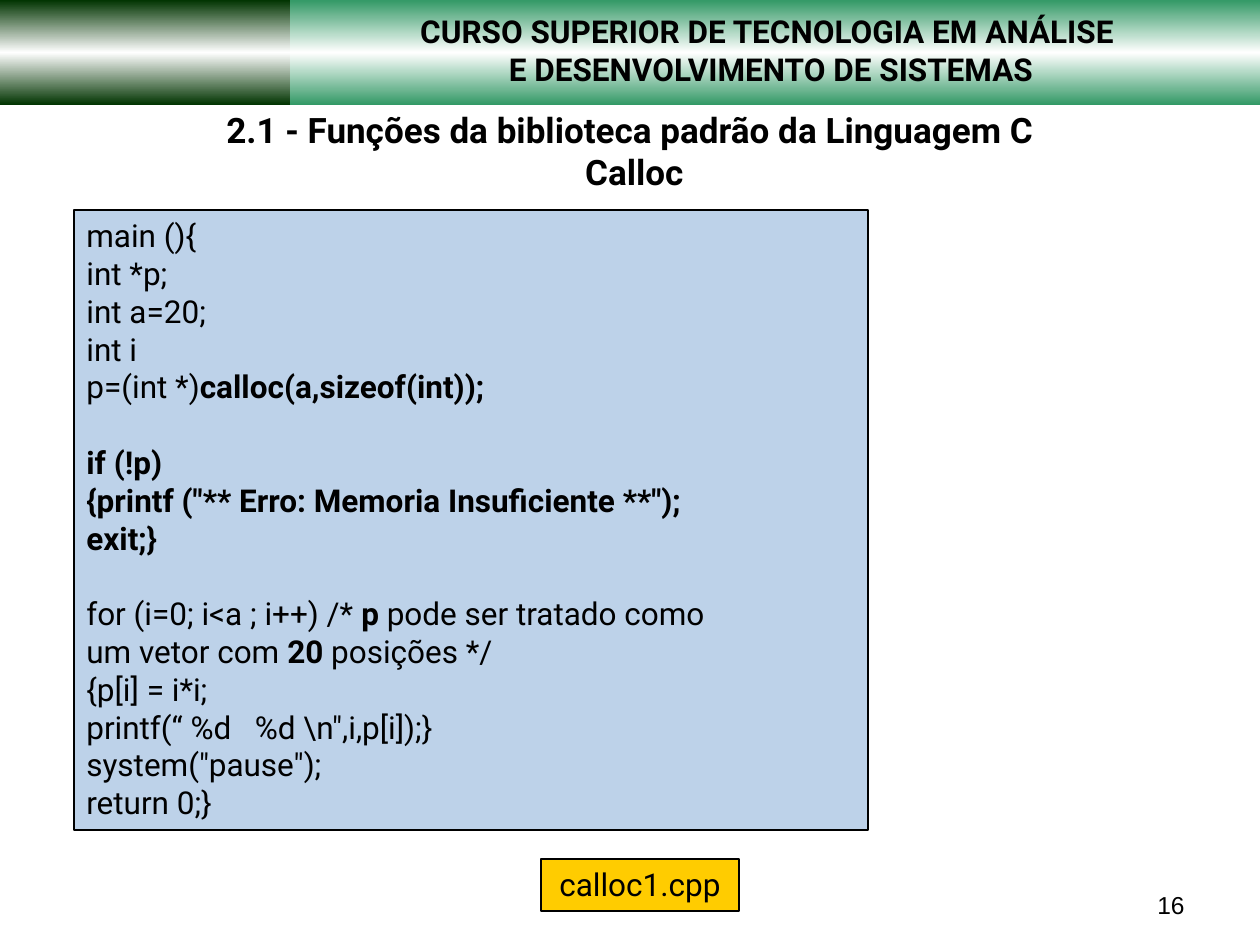
from copy import deepcopy
from dataclasses import dataclass

from pptx import Presentation, util as u
from pptx.dml.color import RGBColor
from pptx.enum import shapes, text
from pptx.oxml.ns import qn


@dataclass(frozen=True)
class Theme:
    font: str = "Roboto"
    number_font: str = "Arial"
    ink: str = "000000"
    white: str = "FFFFFF"
    green: str = "339966"
    dark_green: str = "003300"
    code_fill: str = "BDD2E9"
    file_fill: str = "FFCC00"
    title: int = 20
    body: int = 18
    number: int = 14
    blank_line: float = 21.6


T = Theme()
LEFT, CENTER, RIGHT = text.PP_ALIGN.LEFT, text.PP_ALIGN.CENTER, text.PP_ALIGN.RIGHT

# Each block is a list of lines; each line is a list of (wording, bold) runs.
CODE_BLOCKS = [
    [
        [("main (){", False)],
        [("int *p;", False)],
        [("int a=20;", False)],
        [("int i", False)],
        [("p=(int *)", False), ("calloc(a,sizeof(int));", True)],
    ],
    [
        [("if (!p)", True)],
        [('{printf ("** Erro: Memoria Insuficiente **");', True)],
        [("exit;}", True)],
    ],
    [
        [("for (i=0; i<a ; i++) /* ", False), ("p", True), (" pode ser tratado como", False)],
        [("um vetor com ", False), ("20", True), (" posições */", False)],
        [("{p[i] = i*i;", False)],
        [('printf(“ %d   %d \\n",i,p[i]);}', False)],
        [('system("pause");', False)],
        [("return 0;}", False)],
    ],
]


def px(n):
    return u.Emu(round(n * 914400 / 126))


def add_rect(s, box):
    sp = s.shapes.add_shape(shapes.MSO_SHAPE.RECTANGLE, *map(px, box))
    sp.shadow.inherit = False
    sp.line.fill.background()
    return sp


def add_band(s, box, color):
    """Rectangle shaded vertically from color through white and back."""
    sp = add_rect(s, box)
    sp.fill.gradient()
    sp.fill.gradient_angle = 90
    stop_list = sp._element.spPr.find(qn("a:gradFill")).find(qn("a:gsLst"))
    stop_list.append(deepcopy(stop_list[-1]))
    stops = zip(sp.fill.gradient_stops, (0, 0.5, 1), (color, T.white, color))
    for stop, position, rgb in stops:
        stop.position = position
        stop.color.rgb = RGBColor.from_string(rgb)


def add_panel(s, box, color):
    sp = add_rect(s, box)
    sp.fill.solid()
    sp.fill.fore_color.rgb = RGBColor.from_string(color)
    sp.line.color.rgb = RGBColor.from_string(T.ink)
    sp.line.width = u.Pt(0.75)
    sp.text_frame.auto_size = text.MSO_AUTO_SIZE.SHAPE_TO_FIT_TEXT
    return sp


def write(tf, lines, align=LEFT, size=T.body, font=T.font, anchor=text.MSO_ANCHOR.TOP):
    """Fill a text frame with lines of (wording, bold) runs; return its paragraphs."""
    tf.word_wrap = True
    tf.vertical_anchor = anchor
    for i, line in enumerate(lines):
        p = tf.add_paragraph() if i else tf.paragraphs[0]
        p.alignment = align
        for j, part in enumerate(line):
            wording, bold = part
            for k, piece in enumerate(wording.split("\n")):
                if k:
                    p.add_line_break()
                r = p.add_run()
                r.text = piece
                r.font.name = font
                r.font.size = u.Pt(size)
                r.font.bold = bold
                r.font.color.rgb = RGBColor.from_string(T.ink)
    return tf.paragraphs


def add_header(s, box):
    x, y, w, h = box
    add_band(s, box, T.green)
    add_band(s, (x, y, 290, h), T.dark_green)
    tb = s.shapes.add_textbox(*map(px, (x + 282, y + 6, w - 282, h - 17)))
    write(tb.text_frame, [
        [("CURSO SUPERIOR DE TECNOLOGIA EM ANÁLISE ", True)],
        [("E DESENVOLVIMENTO DE SISTEMAS", True)],
    ], CENTER)


def place_title(s, box):
    sp = s.shapes.title
    sp.left, sp.top, sp.width, sp.height = map(px, box)
    s.shapes._spTree.append(sp._element)  # in front of the header
    wording = "2.1 - Funções da biblioteca padrão da Linguagem C\n Calloc"
    write(sp.text_frame, [[(wording, True)]], CENTER, T.title, anchor=text.MSO_ANCHOR.MIDDLE)


def add_code(s, box):
    sp = add_panel(s, box, T.code_fill)
    paragraphs = write(sp.text_frame, [line for block in CODE_BLOCKS for line in block])
    start = 0
    for block in CODE_BLOCKS[:-1]:
        start += len(block)
        paragraphs[start].space_before = u.Pt(T.blank_line)


def add_file_label(s, box):
    sp = add_panel(s, box, T.file_fill)
    write(sp.text_frame, [[("calloc1.cpp", False)]], CENTER)


def add_page_number(s, box):
    tb = s.shapes.add_textbox(*map(px, box))
    write(tb.text_frame, [[("16", False)]], RIGHT, T.number, T.number_font,
          text.MSO_ANCHOR.BOTTOM)


def main():
    prs = Presentation()
    prs.slide_width, prs.slide_height = px(1260), px(945)
    s = prs.slides.add_slide(prs.slide_layouts.get_by_name("Title Only"))
    add_header(s, (0, 0, 1260, 105))
    add_page_number(s, (903, 861, 294, 65))
    place_title(s, (63, 56, 1134, 189))
    add_code(s, (74, 210, 794, 620))
    add_file_label(s, (541, 859, 198, 52))
    prs.save("out.pptx")


if __name__ == "__main__":
    main()
